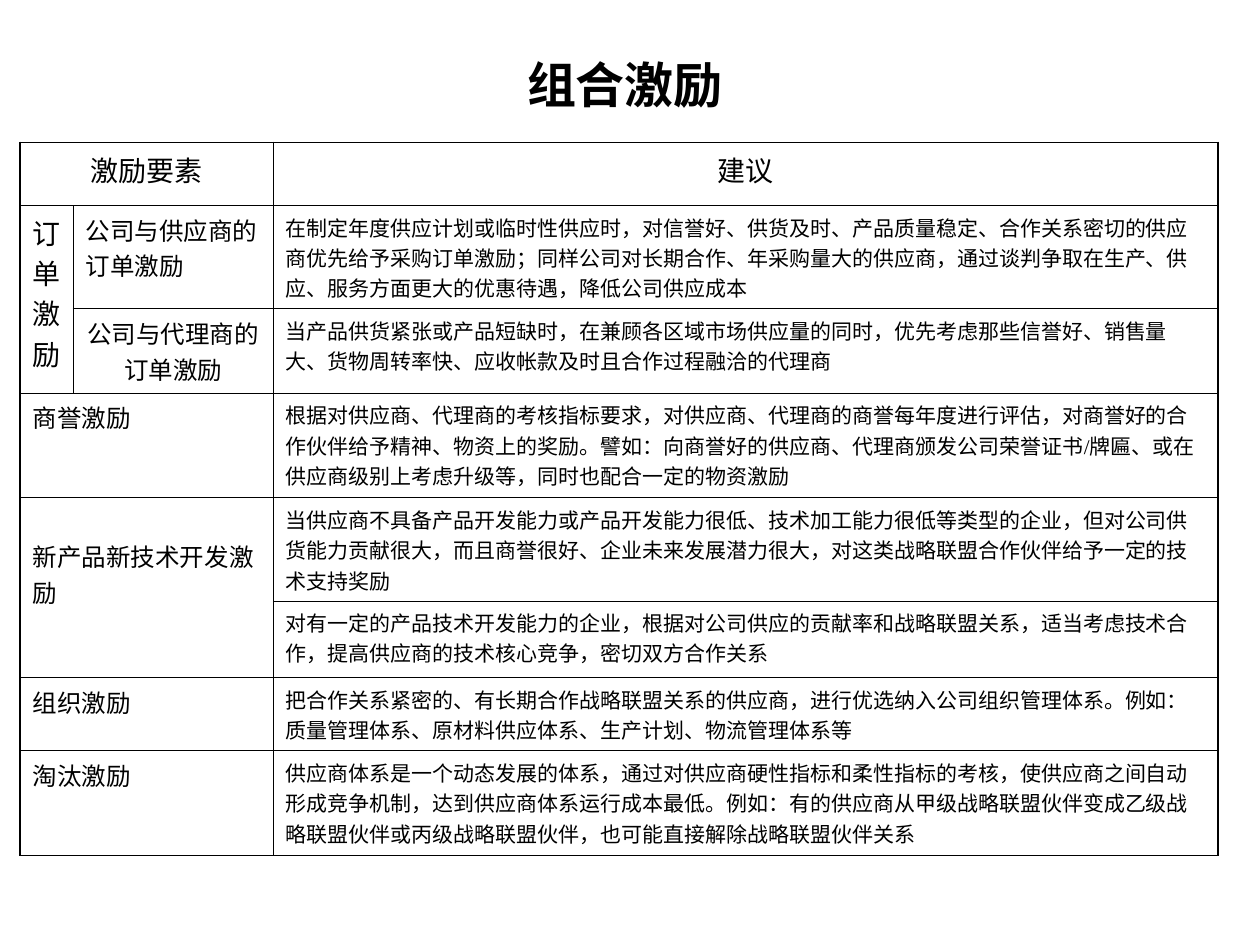
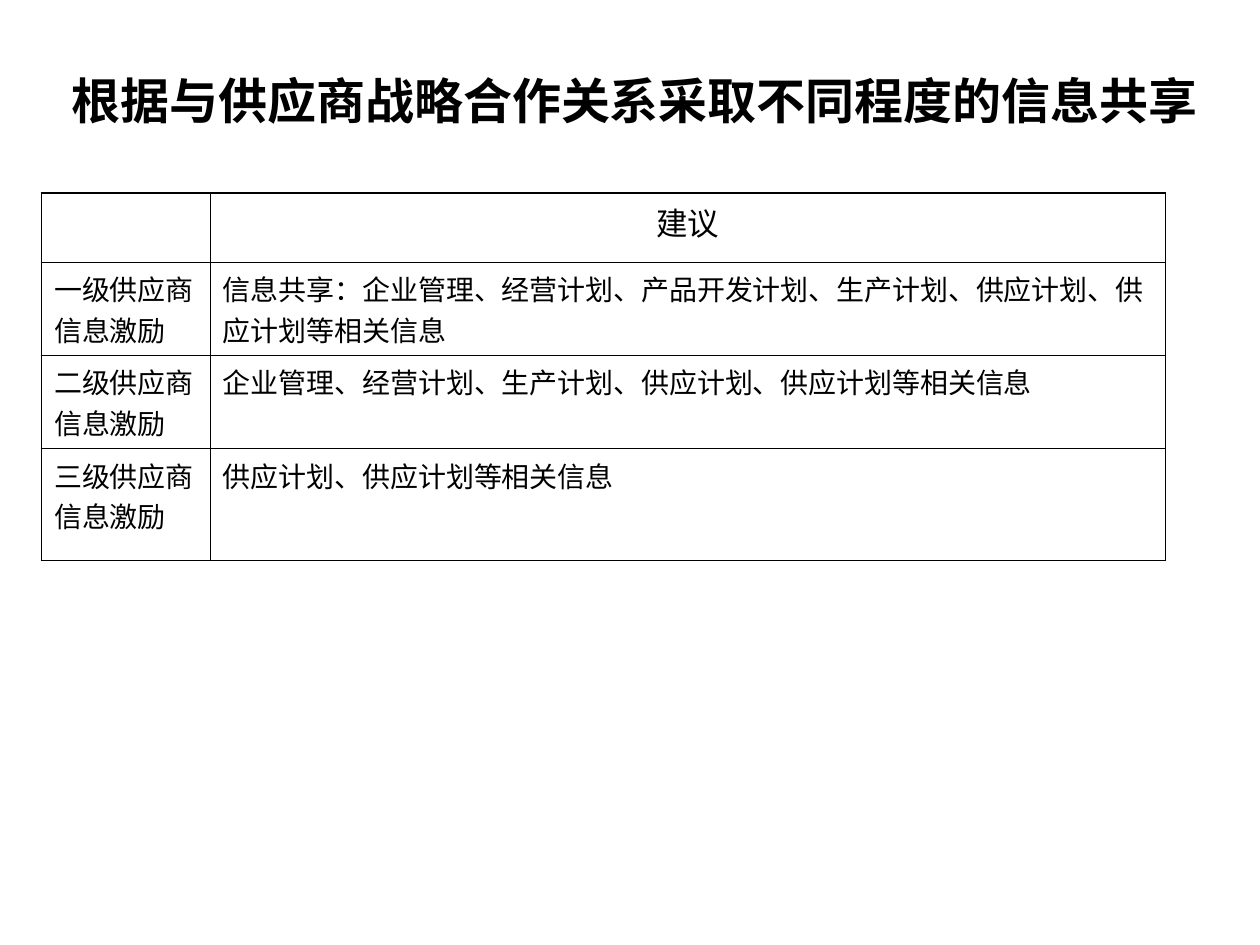
from dataclasses import dataclass

from lxml.etree import SubElement
from pptx import Presentation
from pptx.dml.color import RGBColor
from pptx.enum.lang import MSO_LANGUAGE_ID
from pptx.enum.text import MSO_ANCHOR, PP_ALIGN
from pptx.oxml.ns import qn
from pptx.util import Inches, Pt


@dataclass(frozen=True)
class Theme:
    ink: str = "000000"
    cjk_font: str = "Noto Sans CJK SC"
    body_font: str = "Times New Roman"
    title: int = 28
    heading: int = 18
    label: int = 16
    element: int = 14
    advice: int = 12
    outer_line: float = 1.08
    inner_line: float = 0.45


THEME = Theme()


@dataclass(frozen=True)
class Entry:
    """Text of one table cell; drop is extra space above it in inches."""
    text: str
    size: int
    centered: bool = False
    drop: float = 0
    span: tuple = (1, 1)


def set_format(target, values):
    for name, value in values.items():
        setattr(target, name, value)


def write_text(frame, text, size, font_name, centered=False, bold=False):
    paragraph = frame.paragraphs[0]
    paragraph.alignment = PP_ALIGN.CENTER if centered else PP_ALIGN.LEFT
    paragraph._p.get_or_add_pPr().set("hangingPunct", "0")
    run = paragraph.add_run()
    run.text = text
    run.font.color.rgb = RGBColor.from_string(THEME.ink)
    set_format(run.font, {
        "size": Pt(size),
        "bold": bold,
        "name": font_name,
        "language_id": MSO_LANGUAGE_ID.SIMPLIFIED_CHINESE,
    })
    east_asian = SubElement(run.font._element, qn("a:ea"))
    east_asian.set("typeface", THEME.cjk_font)


def add_title(slide, text, left, top, width, height):
    box = slide.shapes.add_textbox(
        Inches(left), Inches(top), Inches(width), Inches(height))
    set_format(box.text_frame, {
        "word_wrap": True, "vertical_anchor": MSO_ANCHOR.MIDDLE})
    write_text(box.text_frame, text, THEME.title, THEME.cjk_font,
               centered=True, bold=True)


def draw_borders(cell, outer_sides):
    """Rule all four sides of a cell, heavier on the table's outline."""
    properties = cell._tc.get_or_add_tcPr()
    for side in "LRTB":
        width = THEME.outer_line if side in outer_sides else THEME.inner_line
        line = SubElement(properties, qn(f"a:ln{side}"), w=str(Pt(width)))
        fill = SubElement(line, qn("a:solidFill"))
        SubElement(fill, qn("a:srgbClr"), val=THEME.ink)


def add_ruled_table(slide, left, top, widths, heights, entries):
    """entries maps (row, column) to an Entry."""
    row_count, column_count = len(heights), len(widths)
    table = slide.shapes.add_table(
        row_count, column_count, Inches(left), Inches(top),
        Inches(sum(widths)), Inches(sum(heights))).table
    set_format(table, {"first_row": False, "horz_banding": False})
    for column, width in zip(table.columns, widths):
        column.width = Inches(width)
    for row, height in zip(table.rows, heights):
        row.height = Inches(height)

    for row in range(row_count):
        for column in range(column_count):
            cell = table.cell(row, column)
            edges = {"L": column == 0, "R": column == column_count - 1,
                     "T": row == 0, "B": row == row_count - 1}
            draw_borders(cell, [side for side in edges if edges[side]])
            cell.fill.background()

    for (row, column), entry in entries.items():
        cell = table.cell(row, column)
        rows, columns = entry.span
        if entry.span != (1, 1):
            cell.merge(table.cell(row + rows - 1, column + columns - 1))
        set_format(cell, {
            "margin_left": Inches(0.1), "margin_right": Inches(0.1),
            "margin_top": Inches(0.05 + entry.drop),
            "margin_bottom": Inches(0.05),
            "vertical_anchor": MSO_ANCHOR.TOP})
        write_text(cell.text_frame, entry.text, entry.size, THEME.body_font,
                   entry.centered)


ADVICE = [
    "在制定年度供应计划或临时性供应时，对信誉好、供货及时、产品质量稳定、合作关系密切的供应商优先给予采购订单激励；同样公司对长期合作、年采购量大的供应商，通过谈判争取在生产、供应、服务方面更大的优惠待遇，降低公司供应成本",
    "当产品供货紧张或产品短缺时，在兼顾各区域市场供应量的同时，优先考虑那些信誉好、销售量大、货物周转率快、应收帐款及时且合作过程融洽的代理商",
    "根据对供应商、代理商的考核指标要求，对供应商、代理商的商誉每年度进行评估，对商誉好的合作伙伴给予精神、物资上的奖励。譬如：向商誉好的供应商、代理商颁发公司荣誉证书/牌匾、或在供应商级别上考虑升级等，同时也配合一定的物资激励",
    "当供应商不具备产品开发能力或产品开发能力很低、技术加工能力很低等类型的企业，但对公司供货能力贡献很大，而且商誉很好、企业未来发展潜力很大，对这类战略联盟合作伙伴给予一定的技术支持奖励",
    "对有一定的产品技术开发能力的企业，根据对公司供应的贡献率和战略联盟关系，适当考虑技术合作，提高供应商的技术核心竞争，密切双方合作关系",
    "把合作关系紧密的、有长期合作战略联盟关系的供应商，进行优选纳入公司组织管理体系。例如：质量管理体系、原材料供应体系、生产计划、物流管理体系等",
    "供应商体系是一个动态发展的体系，通过对供应商硬性指标和柔性指标的考核，使供应商之间自动形成竞争机制，达到供应商体系运行成本最低。例如：有的供应商从甲级战略联盟伙伴变成乙级战略联盟伙伴或丙级战略联盟伙伴，也可能直接解除战略联盟伙伴关系",
]

SHARED_INFORMATION = [
    ("一级供应商信息激励",
     "信息共享：企业管理、经营计划、产品开发计划、生产计划、供应计划、供应计划等相关信息"),
    ("二级供应商信息激励",
     "企业管理、经营计划、生产计划、供应计划、供应计划等相关信息"),
    ("三级供应商信息激励", "供应计划、供应计划等相关信息"),
]


def build_incentive_slide(slide):
    add_title(slide, "组合激励", 0.71, 0.33, 8.5, 0.67)
    entries = {
        (0, 0): Entry("激励要素", THEME.label, centered=True, span=(1, 2)),
        (0, 2): Entry("建议", THEME.label, centered=True),
        (1, 0): Entry("订单激励", THEME.label, centered=True, span=(2, 1)),
        (1, 1): Entry("公司与供应商的订单激励", THEME.element),
        (2, 1): Entry("公司与代理商的订单激励", THEME.element, centered=True),
        (3, 0): Entry("商誉激励", THEME.element, span=(1, 2)),
        (4, 0): Entry("新产品新技术开发激励", THEME.element, drop=0.27,
                      span=(2, 2)),
        (6, 0): Entry("组织激励", THEME.element, span=(1, 2)),
        (7, 0): Entry("淘汰激励", THEME.element, span=(1, 2)),
    }
    for row, advice in enumerate(ADVICE, start=1):
        entries[row, 2] = Entry(advice, THEME.advice)
    add_ruled_table(slide, 0.16, 1.13, [0.42, 1.59, 7.5],
                    [0.5, 0.82, 0.67, 0.83, 0.82, 0.61, 0.58, 0.83], entries)


def build_information_slide(slide):
    add_title(slide, "根据与供应商战略合作关系采取不同程度的信息共享",
              0.41, 0.42, 9.25, 0.75)
    entries = {(0, 1): Entry("建议", THEME.heading, centered=True)}
    for row, texts in enumerate(SHARED_INFORMATION, start=1):
        for column, text in enumerate(texts):
            entries[row, column] = Entry(text, THEME.label)
    add_ruled_table(slide, 0.33, 1.53, [1.34, 7.58],
                    [0.55, 0.74, 0.74, 0.89], entries)


def main():
    presentation = Presentation()
    set_format(presentation, {
        "slide_width": Inches(10), "slide_height": Inches(7.5)})
    blank_layout = presentation.slide_layouts[6]
    for build_slide in (build_incentive_slide, build_information_slide):
        build_slide(presentation.slides.add_slide(blank_layout))
    presentation.save("out.pptx")


if __name__ == "__main__":
    main()
